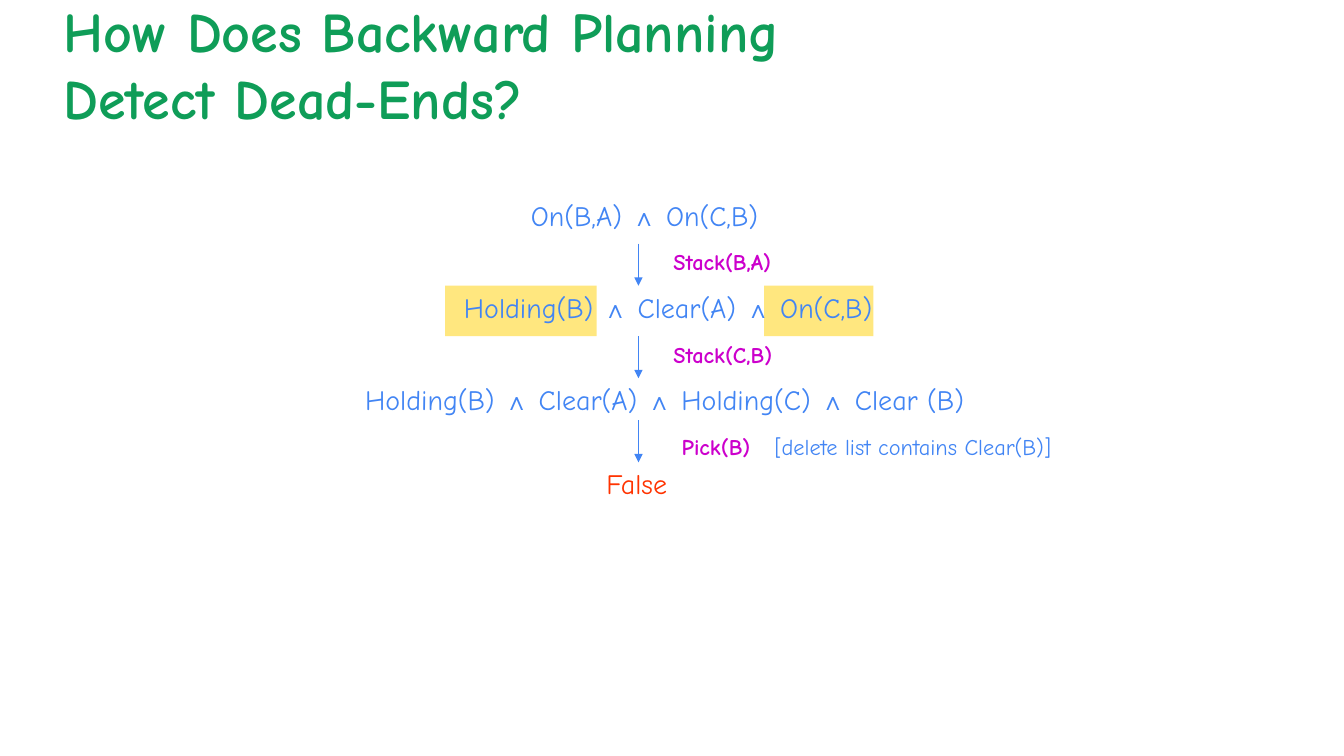
import pptx
import pptx.dml.color
import pptx.enum.shapes
import pptx.enum.text
import pptx.oxml.ns
import pptx.util
import lxml.etree

Cm = pptx.util.Cm
ALIGN = pptx.enum.text.PP_ALIGN
BLUE, PURPLE, RED, GREEN, YELLOW = "4285F4", "CC00CC", "FF3300", "0F9D58", "FFE77F"


def colour(code):
    return pptx.dml.color.RGBColor.from_string(code)


class PlanSlide:
    """Draws the elements of a planning diagram in one shared style."""

    font = "Comic Neue"

    def __init__(self, deck):
        self.slide = deck.slides.add_slide(deck.slide_layouts[5])
        self.shapes = self.slide.shapes

    def style(self, run, size, code, bold=False, font=None):
        run.font.name = font or self.font
        run.font.size = pptx.util.Pt(size)
        run.font.bold = bold
        run.font.color.rgb = colour(code)

    def title(self, text, left, top, width, height):
        heading = self.shapes.title
        heading.left, heading.top = Cm(left), Cm(top)
        heading.width, heading.height = Cm(width), Cm(height)
        frame = heading.text_frame
        frame.text = text
        frame.auto_size = pptx.enum.text.MSO_AUTO_SIZE.NONE
        frame.vertical_anchor = pptx.enum.text.MSO_ANCHOR.MIDDLE
        frame.margin_top = frame.margin_bottom = Cm(0.25)
        frame.paragraphs[0].alignment = ALIGN.LEFT
        for run in frame.paragraphs[0].runs:
            self.style(run, 40, GREEN, bold=True)

    def highlight(self, left, top, width, height):
        patch = self.shapes.add_shape(
            pptx.enum.shapes.MSO_SHAPE.RECTANGLE, Cm(left), Cm(top), Cm(width), Cm(height))
        patch.shadow.inherit = False
        patch.fill.solid()
        patch.fill.fore_color.rgb = colour(YELLOW)
        patch.line.fill.background()

    def line_of_text(self, pieces, left, top, width, height, align=ALIGN.LEFT):
        box = self.shapes.add_textbox(Cm(left), Cm(top), Cm(width), Cm(height))
        box.text_frame.word_wrap = False
        box.text_frame.auto_size = pptx.enum.text.MSO_AUTO_SIZE.SHAPE_TO_FIT_TEXT
        paragraph = box.text_frame.paragraphs[0]
        paragraph.alignment = align
        for text, *look in pieces:
            run = paragraph.add_run()
            run.text = text
            self.style(run, *look)
        return box

    def goal(self, literals, left, top, width, align=ALIGN.CENTER):
        pieces = []
        for index, literal in enumerate(literals):
            before = " " if index else ""
            after = " " if index < len(literals) - 1 else ""
            if index:
                pieces.append(("∧", 18, BLUE, True, "Arial"))
            pieces.append((before + literal + after, 20, BLUE))
        self.line_of_text(pieces, left, top, width, 1.09, align)

    def action(self, name, left, top, width, remark=None, remark_offset=0):
        pieces = [(name, 16, PURPLE, True)]
        if remark:
            pieces.append(("\t" + remark, 16, BLUE))
        box = self.line_of_text(pieces, left, top, width, 0.94)
        if remark:
            box.text_frame.word_wrap = True
            properties = box.text_frame.paragraphs[0]._p.get_or_add_pPr()
            stops = lxml.etree.SubElement(properties, pptx.oxml.ns.qn("a:tabLst"))
            lxml.etree.SubElement(stops, pptx.oxml.ns.qn("a:tab"),
                                  pos=str(Cm(remark_offset)), algn="l")

    def arrow(self, x, top, bottom):
        step = self.shapes.add_connector(
            pptx.enum.shapes.MSO_CONNECTOR.STRAIGHT, Cm(x), Cm(top), Cm(x), Cm(bottom))
        step.line.color.rgb = colour(BLUE)
        step.line.width = pptx.util.Pt(0.75)
        lxml.etree.SubElement(step.line._get_or_add_ln(),
                              pptx.oxml.ns.qn("a:tailEnd"), type="triangle")
        lxml.etree.SubElement(step._element.spPr, pptx.oxml.ns.qn("a:effectLst"))


def main():
    deck = pptx.Presentation()
    deck.slide_width, deck.slide_height = Cm(33.87), Cm(19.05)
    plan = PlanSlide(deck)
    plan.title("How Does Backward Planning \vDetect Dead-Ends?", 1.35, 0.18, 31.22, 2.84)

    for left, width in ((11.22, 3.82), (19.26, 2.75)):
        plan.highlight(left, 7.2, width, 1.27)

    plan.goal(["On(B,A)", "On(C,B)"], 13.13, 4.87, 6.45, ALIGN.LEFT)
    plan.goal(["Holding(B)", "Clear(A)", "On(C,B)"], 11.33, 7.2, 11.02)
    plan.goal(["Holding(B)", "Clear(A)", "Holding(C)", "Clear (B)"], 8.69, 9.52, 16.12)
    plan.line_of_text([("False", 20, RED)], 15.03, 11.64, 2.24, 1.09)

    plan.action("Stack(B,A)", 16.72, 6.14, 3.5)
    plan.action("Stack(C,B)", 16.72, 8.47, 3.45)
    plan.action("Pick(B)", 16.93, 10.8, 11.86, "[delete list contains Clear(B)]", 2.34)

    for top in (6.14, 8.47, 10.59):
        plan.arrow(16.09, top, top + 1.06)

    deck.save("out.pptx")


if __name__ == "__main__":
    main()
